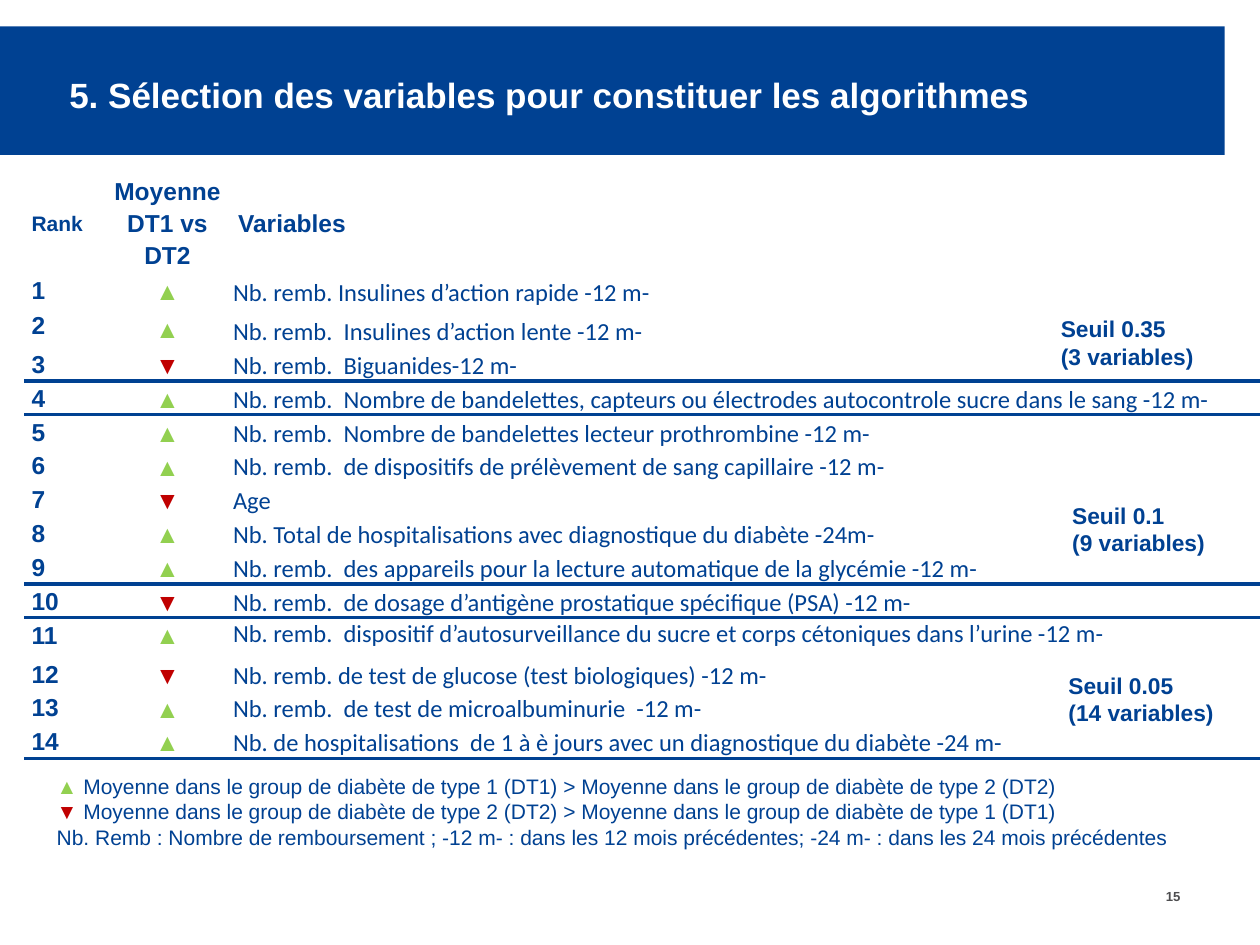
from lxml import etree
from pptx import Presentation
from pptx.dml.color import RGBColor
from pptx.enum.shapes import MSO_SHAPE
from pptx.enum.text import MSO_ANCHOR, PP_ALIGN
from pptx.oxml.ns import qn
from pptx.util import Inches, Pt

LEFT, CENTER, RIGHT = PP_ALIGN.LEFT, PP_ALIGN.CENTER, PP_ALIGN.RIGHT
TOP, MIDDLE, BOTTOM = MSO_ANCHOR.TOP, MSO_ANCHOR.MIDDLE, MSO_ANCHOR.BOTTOM
RECTANGLE = MSO_SHAPE.RECTANGLE
COLORS = {"blue": "004192", "white": "FFFFFF", "gray": "4D4D4F",
          "▲": "92D050", "▼": "C00000"}

presentation = Presentation()
presentation.slide_width, presentation.slide_height = Inches(10), Inches(7.5)
slide = presentation.slides.add_slide(presentation.slide_layouts[6])

# Grid: 100 columns by 75 rows
column = presentation.slide_width / 100
row = presentation.slide_height / 75


def write(frame, lines, size=14, font="Arial", color="blue", bold=False,
          align=LEFT, spacing=None):
    """Write one paragraph per line; a triangle takes its own colour."""
    for index, line in enumerate(lines):
        paragraph = frame.paragraphs[0] if index == 0 else frame.add_paragraph()
        paragraph.alignment = align
        if spacing:
            paragraph.line_spacing = spacing
        has_marker = line[0] in "▲▼"
        parts = [line[:2], line[2:]] if has_marker else [line]
        for part in filter(None, parts):
            run = paragraph.add_run()
            run.text = part
            run.font.size, run.font.name, run.font.bold = Pt(size), font, bold
            name = part[0] if part[0] in "▲▼" else color
            run.font.color.rgb = RGBColor.from_string(COLORS[name])


def add_text(left, top, width, height, lines, anchor=TOP, wrap=True, **style):
    box = slide.shapes.add_textbox(int(left * column), int(top * row),
                                   int(width * column), int(height * row))
    frame = box.text_frame
    frame.word_wrap, frame.vertical_anchor = wrap, anchor
    frame.margin_left = frame.margin_right = Inches(0.04)
    frame.margin_top = frame.margin_bottom = 0
    write(frame, lines, **style)


# Title band and page number
band = slide.shapes.add_shape(RECTANGLE, 0, int(2.1 * row),
                              int(97.2 * column), int(10.2 * row))
band.shadow.inherit = False
band.fill.solid()
band.fill.fore_color.rgb = RGBColor.from_string(COLORS["blue"])
band.line.fill.background()
add_text(91.4, 70.5, 2.7, 1.3, ["15"], wrap=False, size=7.5, color="gray",
         bold=True, align=RIGHT)
add_text(5.1, 2.4, 78.7, 10.2,
         ["5. Sélection des variables pour constituer les algorithmes"],
         anchor=MIDDLE, size=20, color="white", bold=True)

# Ranked variables
variables = [
    ("▲", "Nb. remb. Insulines d’action rapide -12 m-"),
    ("▲", "Nb. remb.  Insulines d’action lente -12 m-"),
    ("▼", "Nb. remb.  Biguanides-12 m-"),
    ("▲", "Nb. remb.  Nombre de bandelettes, capteurs ou électrodes "
          "autocontrole sucre dans le sang -12 m-"),
    ("▲", "Nb. remb.  Nombre de bandelettes lecteur prothrombine -12 m-"),
    ("▲", "Nb. remb.  de dispositifs de prélèvement de sang capillaire -12 m-"),
    ("▼", "Age"),
    ("▲", "Nb. Total de hospitalisations avec diagnostique du diabète -24m-"),
    ("▲", "Nb. remb.  des appareils pour la lecture automatique de la "
          "glycémie -12 m-"),
    ("▼", "Nb. remb.  de dosage d’antigène prostatique spécifique (PSA) -12 m-"),
    ("▲", "Nb. remb.  dispositif d’autosurveillance du sucre et corps "
          "cétoniques dans l’urine -12 m-"),
    ("▼", "Nb. remb. de test de glucose (test biologiques) -12 m-"),
    ("▲", "Nb. remb.  de test de microalbuminurie  -12 m-"),
    ("▲", "Nb. de hospitalisations  de 1 à è jours avec un diagnostique du "
          "diabète -24 m-"),
]
ruled_ranks = {3, 4, 9, 10, 14}
special_heights = {0: 6.9, 1: 2.8, 2: 3.1, 11: 3.1}

table_shape = slide.shapes.add_table(len(variables) + 1, 3, int(2 * column),
                                     int(13.6 * row), int(98 * column),
                                     int(44.5 * row))
table = table_shape.table
for table_column, width in zip(table.columns, (6.2, 10.2, 81.6)):
    table_column.width = int(width * column)

header = [["Rank"], ["Moyenne", "DT1 vs DT2"], ["Variables"]]
body = [[[str(rank)], [marker], [name]]
        for rank, (marker, name) in enumerate(variables, 1)]
for rank, texts in enumerate([header] + body):
    table.rows[rank].height = int(special_heights.get(rank, 2.4) * row)
    for position, lines in enumerate(texts):
        cell = table.cell(rank, position)
        is_variable = rank > 0 and position == 2
        side = Inches(0.01 if is_variable else 0.05)
        cell.margin_left = cell.margin_right = side
        cell.margin_top = Inches(0.01) if is_variable else 0
        cell.margin_bottom = 0
        if rank == 0:
            cell.vertical_anchor = MIDDLE
        elif rank == 11:
            cell.vertical_anchor = TOP
        else:
            cell.vertical_anchor = (TOP, MIDDLE, BOTTOM)[position]
        write(cell.text_frame, lines,
              size=12 if lines == ["Rank"] else 14,
              font="Calibri" if is_variable else "Arial",
              bold=rank == 0 or position == 0,
              align=CENTER if position == 1 else LEFT,
              spacing=None if is_variable else 1.15)

        # Blue rules at the thresholds, white borders elsewhere
        properties = cell._tc.get_or_add_tcPr()
        ruled = {"lnT": rank - 1 in ruled_ranks, "lnB": rank in ruled_ranks}
        for edge in ("lnL", "lnR", "lnT", "lnB"):
            blue = ruled.get(edge, False)
            border = etree.SubElement(properties, qn("a:" + edge),
                                      w=str(Pt(2.25 if blue else 1)))
            fill = etree.SubElement(border, qn("a:solidFill"))
            etree.SubElement(fill, qn("a:srgbClr"),
                             val=COLORS["blue" if blue else "white"])
        cell.fill.solid()
        cell.fill.fore_color.rgb = RGBColor.from_string(COLORS["white"])

# Threshold labels
for left, top, threshold, count in ((83.8, 25, "0.35", 3), (84.7, 39.8, "0.1", 9),
                                    (84.4, 53.3, "0.05", 14)):
    add_text(left, top, 12.6, 4.4,
             [f"Seuil {threshold}", f"({count} variables)"], size=13, bold=True)

# Legend
add_text(4.1, 61.4, 91.8, 6.1, [
    "▲ Moyenne dans le group de diabète de type 1 (DT1) > "
    "Moyenne dans le group de diabète de type 2 (DT2)",
    "▼ Moyenne dans le group de diabète de type 2 (DT2) > "
    "Moyenne dans le group de diabète de type 1 (DT1)",
    "Nb. Remb : Nombre de remboursement ; -12 m- : dans les 12 mois "
    "précédentes; -24 m- : dans les 24 mois précédentes"], size=12)

presentation.save("out.pptx")
